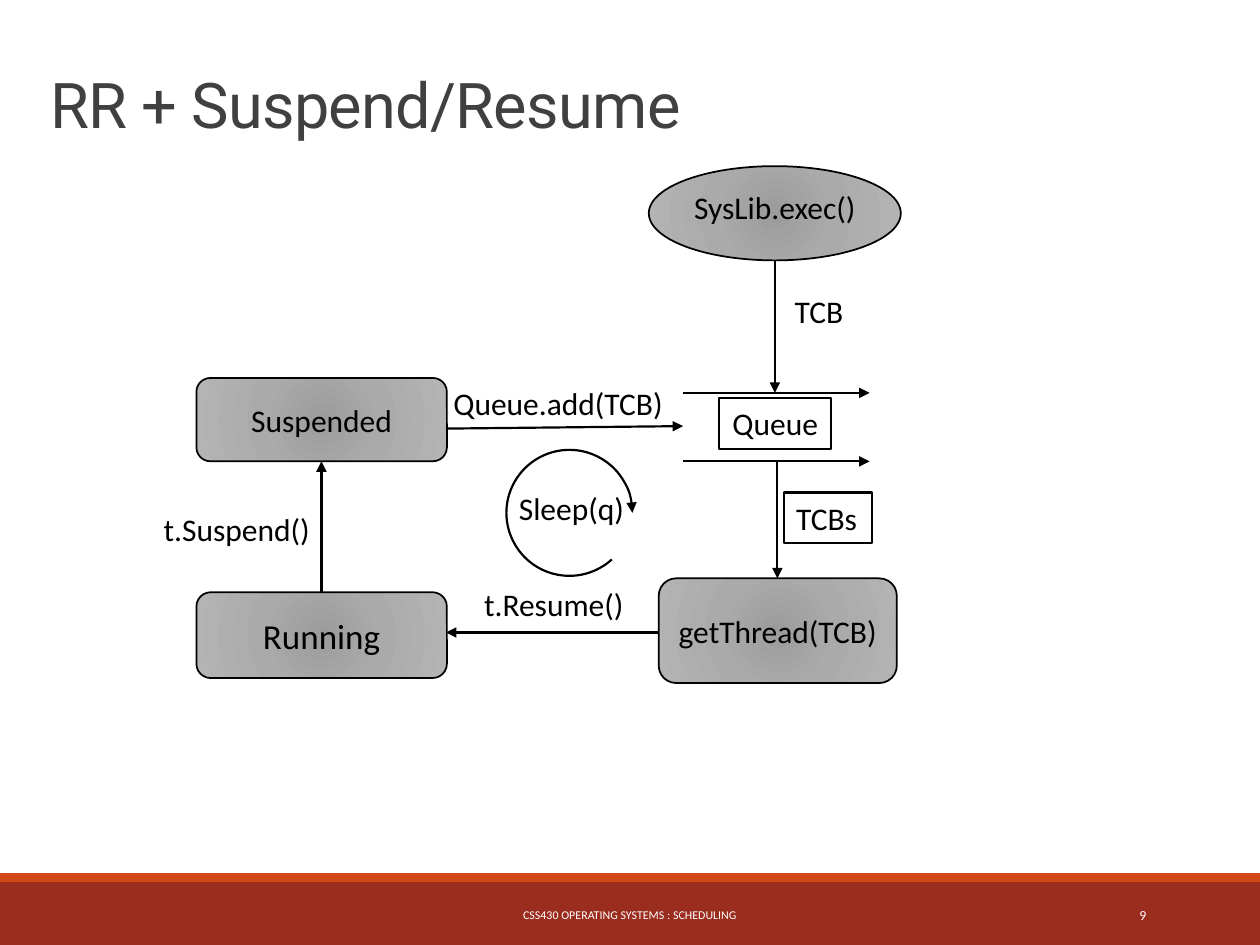
from lxml.etree import SubElement
from pptx import Presentation
from pptx.dml.color import RGBColor
from pptx.enum.shapes import MSO_CONNECTOR, MSO_SHAPE
from pptx.enum.text import MSO_ANCHOR, PP_ALIGN
from pptx.oxml import parse_xml
from pptx.oxml.ns import nsdecls, qn
from pptx.util import Cm, Pt

BLACK = RGBColor(0x00, 0x00, 0x00)
WHITE = RGBColor(0xFF, 0xFF, 0xFF)
TITLE_GRAY = RGBColor(0x40, 0x40, 0x40)
BRICK = RGBColor(0x9B, 0x2D, 0x1F)
ORANGE = RGBColor(0xD3, 0x48, 0x17)
GRADIENT = (
    f'<a:gradFill {nsdecls("a")} rotWithShape="1"><a:gsLst>'
    '<a:gs pos="0"><a:srgbClr val="9C9C9C"/></a:gs>'
    '<a:gs pos="45000"><a:srgbClr val="AAAAAA"/></a:gs>'
    '<a:gs pos="100000"><a:srgbClr val="B4B4B4"/></a:gs></a:gsLst>'
    '<a:path path="circle"><a:fillToRect l="50000" t="50000" r="50000" b="50000"/></a:path>'
    '</a:gradFill>'
)
LEFT, CENTER, RIGHT = PP_ALIGN.LEFT, PP_ALIGN.CENTER, PP_ALIGN.RIGHT


def write(sp, text, size=18, color=BLACK, align=LEFT, anchor=MSO_ANCHOR.TOP,
          wrap=True, font="Calibri"):
    tf = sp.text_frame
    tf.text = text
    tf.word_wrap = wrap
    tf.vertical_anchor = anchor
    p = tf.paragraphs[0]
    p.alignment = align
    r = p.runs[0]
    r.font.name, r.font.size, r.font.color.rgb = font, Pt(size), color


def outline(sp, width=1.25, arrow=False):
    sp.line.color.rgb = BLACK
    sp.line.width = Pt(width)
    if arrow:
        SubElement(sp.line._get_or_add_ln(), qn("a:tailEnd"), type="triangle")


prs = Presentation()
prs.slide_width, prs.slide_height = Cm(25.4), Cm(19.05)
s = prs.slides.add_slide(prs.slide_layouts[5])

# Footer bands, footer text and slide number
for y, h, color in [(17.78, 1.27, BRICK), (17.6, 0.18, ORANGE)]:
    sp = s.shapes.add_shape(MSO_SHAPE.RECTANGLE, 0, Cm(y), prs.slide_width, Cm(h))
    sp.shadow.inherit = False
    sp.fill.solid()
    sp.fill.fore_color.rgb = color
    sp.line.fill.background()

for text, x, w, size, align in [
    ("CSS430 OPERATING SYSTEMS : SCHEDULING", 7.67, 10.06, 6.8, CENTER),
    ("9", 20.62, 2.74, 7.9, RIGHT),
]:
    sp = s.shapes.add_textbox(Cm(x), Cm(17.93), Cm(w), Cm(1.02))
    write(sp, text, size, WHITE, align, MSO_ANCHOR.MIDDLE)

# Title
title = s.shapes.title
title.left, title.top, title.width, title.height = Cm(0.76), Cm(1.02), Cm(23.98), Cm(1.96)
write(title, "RR + Suspend/Resume", 36, TITLE_GRAY, anchor=MSO_ANCHOR.BOTTOM, font="Roboto")
p = title.text_frame.paragraphs[0]
p.line_spacing = 0.85
p.runs[0].font._element.set("spc", "-40")

# Thread states and calls
for text, kind, x, y, w, h, size in [
    ("Running", MSO_SHAPE.ROUNDED_RECTANGLE, 3.96, 11.94, 5.05, 1.73, 20),
    ("Suspended", MSO_SHAPE.ROUNDED_RECTANGLE, 3.96, 7.62, 5.05, 1.68, 18),
    ("getThread(TCB)", MSO_SHAPE.ROUNDED_RECTANGLE, 13.28, 11.66, 4.8, 2.11, 18),
    ("", MSO_SHAPE.OVAL, 13.08, 3.35, 5.08, 1.9, 18),
]:
    sp = s.shapes.add_shape(kind, Cm(x), Cm(y), Cm(w), Cm(h))
    sp.shadow.inherit = False
    outline(sp, 1)
    sp._element.spPr.find(qn("a:prstGeom")).addnext(parse_xml(GRADIENT))
    if text:
        write(sp, text, size, align=CENTER, anchor=MSO_ANCHOR.MIDDLE, wrap=False)

# Arrows
for x1, y1, x2, y2 in [
    (13.77, 7.92, 17.53, 7.92),    # queue, upper edge
    (13.77, 9.3, 17.53, 9.3),      # queue, lower edge
    (8.99, 8.64, 13.77, 8.59),     # Suspended to queue
    (13.28, 12.75, 8.99, 12.75),   # getThread to Running
    (15.67, 9.3, 15.67, 11.66),    # queue to getThread
    (6.48, 11.94, 6.48, 9.3),      # Running to Suspended
    (15.62, 5.26, 15.62, 7.92),    # exec to queue
]:
    c = s.shapes.add_connector(MSO_CONNECTOR.STRAIGHT, Cm(x1), Cm(y1), Cm(x2), Cm(y2))
    outline(c, arrow=True)
    SubElement(c._element.spPr, qn("a:effectLst"))

# Sleep loop
arc = s.shapes.add_shape(MSO_SHAPE.ARC, Cm(10.21), Cm(9.07), Cm(2.54), Cm(2.54))
arc.shadow.inherit = False
arc.adjustments[0], arc.adjustments[1] = 28.59, 0
arc.fill.background()
outline(arc, arrow=True)

# Labels, two of them boxed
for text, x, y, w, align, wrap, boxed in [
    ("Queue", 14.5, 8.03, 2.26, CENTER, False, True),
    ("TCBs", 15.8, 9.93, 1.78, LEFT, True, True),
    ("t.Suspend()", 3.05, 10.16, 3.63, LEFT, True, False),
    ("SysLib.exec()", 13.08, 3.66, 5.08, CENTER, True, False),
    ("TCB", 15.77, 5.77, 1.52, LEFT, False, False),
    ("t.Resume()", 8.89, 11.66, 4.55, CENTER, True, False),
    ("Queue.add(TCB)", 8.89, 7.62, 5.05, LEFT, True, False),
    ("Sleep(q)", 10.21, 9.73, 2.87, LEFT, True, False),
]:
    sp = s.shapes.add_textbox(Cm(x), Cm(y), Cm(w), Cm(1.02))
    write(sp, text, align=align, wrap=wrap)
    if boxed:
        outline(sp)

prs.save("out.pptx")
